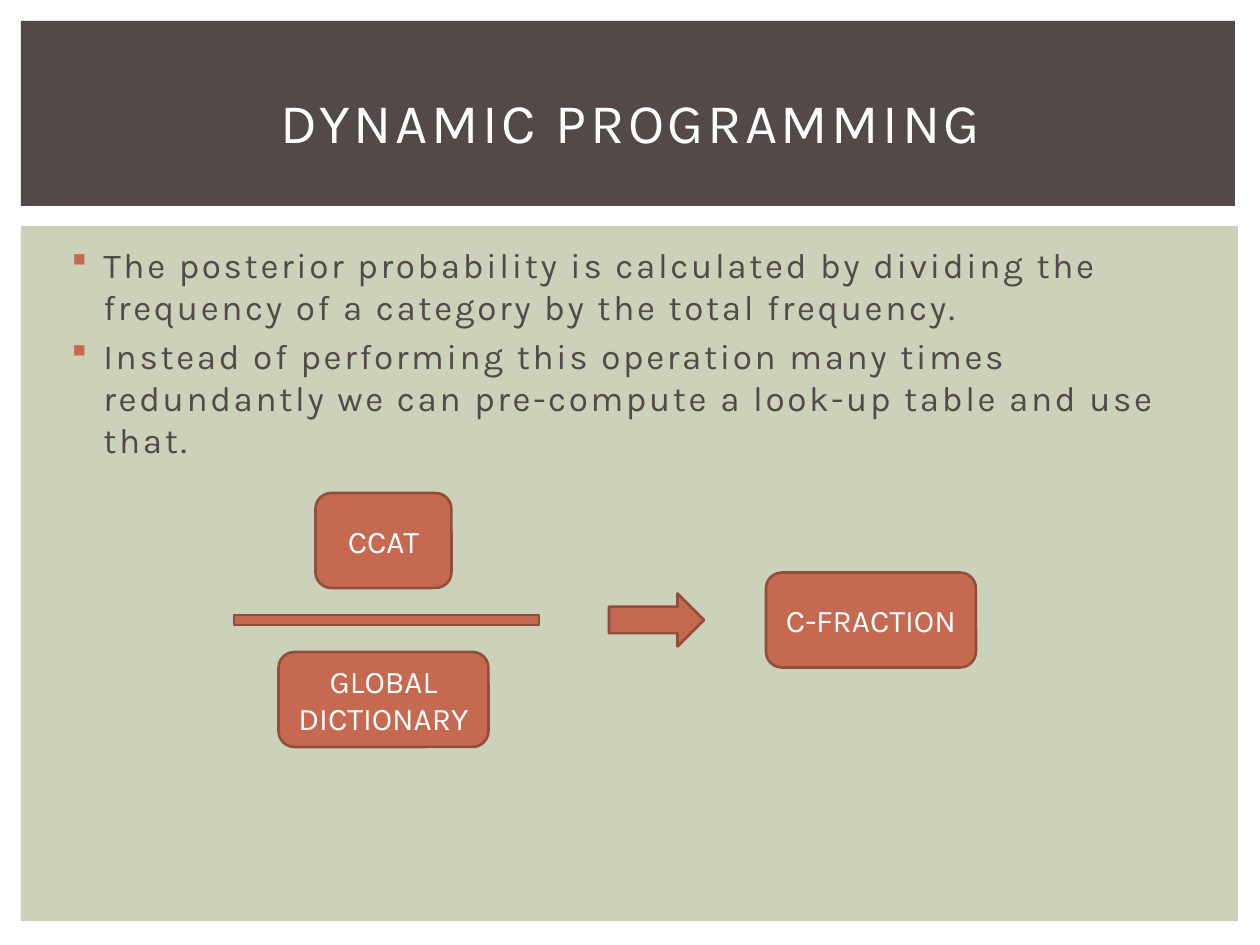
import pptx
import pptx.util
import pptx.dml.color
import pptx.enum.shapes
import pptx.enum.text
import lxml.etree
from dataclasses import dataclass

SCALE = 914400 // 126  # EMU per pixel
SHAPE = pptx.enum.shapes.MSO_SHAPE
ALIGN = pptx.enum.text.PP_ALIGN
ANCHOR = pptx.enum.text.MSO_ANCHOR


@dataclass(frozen=True)
class Theme:
    font: str = "Karla"
    dark: str = "534949"
    panel: str = "CCD1B9"
    accent: str = "C66951"
    edge: str = "924E3C"
    light: str = "FFFFFF"
    title: int = 32
    body: int = 20
    label: int = 18


T = Theme()


def px(n):
    return pptx.util.Emu(round(n * SCALE))


def rgb(color):
    return pptx.dml.color.RGBColor.from_string(color)


def add_text(tf, lines, size, color, align=ALIGN.LEFT, anchor=ANCHOR.TOP,
             spacing=0, before=0, bullet=None):
    tf.word_wrap = True
    tf.vertical_anchor = anchor
    for i, line in enumerate(lines):
        p = tf.paragraphs[0] if i == 0 else tf.add_paragraph()
        p.alignment = align
        p.space_before = pptx.util.Pt(before)
        r = p.add_run()
        r.text = line
        r.font.name = T.font
        r.font.size = pptx.util.Pt(size)
        r.font.color.rgb = rgb(color)
        if spacing:
            r.font._element.set("spc", str(round(spacing * 100)))
        if bullet:
            add_bullet(p, bullet)


def add_bullet(p, color):
    pPr = p._p.get_or_add_pPr()
    pPr.set("marL", str(px(38)))
    pPr.set("indent", str(-px(32)))
    a = "{http://schemas.openxmlformats.org/drawingml/2006/main}"
    clr = lxml.etree.SubElement(pPr, a + "buClr")
    lxml.etree.SubElement(clr, a + "srgbClr", val=color)
    lxml.etree.SubElement(pPr, a + "buFont", typeface="Wingdings")
    lxml.etree.SubElement(pPr, a + "buChar", char="\u00a7")


def add_box(s, kind, x, y, w, h, fill, line=None, text=None):
    sp = s.shapes.add_shape(kind, px(x), px(y), px(w), px(h))
    sp.shadow.inherit = False
    sp.fill.solid()
    sp.fill.fore_color.rgb = rgb(fill)
    if line:
        sp.line.color.rgb = rgb(line)
        sp.line.width = pptx.util.Pt(1.5)
    else:
        sp.line.fill.background()
    if text:
        add_text(sp.text_frame, [text], T.label, T.light,
                 ALIGN.CENTER, ANCHOR.MIDDLE)
    return sp


def add_header(s, x, y, w, h, title):
    add_box(s, SHAPE.RECTANGLE, x, y, w, h, T.dark)
    sp = s.shapes.add_textbox(px(x + 32), px(y + 28), px(w - 59), px(145))
    add_text(sp.text_frame, [title], T.title, T.light,
             ALIGN.CENTER, ANCHOR.MIDDLE, spacing=2)


def add_body(s, x, y, w, h, points):
    add_box(s, SHAPE.RECTANGLE, x, y, w, h, T.panel)
    sp = s.shapes.add_textbox(px(x + 32), px(y + 11), px(w - 59), px(h - 88))
    add_text(sp.text_frame, points, T.body, T.dark,
             spacing=1.5, before=T.body * 0.2, bullet=T.accent)


def add_fraction(s, x, y, w, h, numerator, denominator, result):
    box_w, box_h = 210, 95
    bar_w, bar_h = 305, 10
    arrow_w, arrow_h = 95, 53
    mid_x, mid_y = x + bar_w / 2, y + h / 2
    parts = [
        (SHAPE.ROUNDED_RECTANGLE, mid_x - 71, y, 136, box_h, numerator),
        (SHAPE.ROUNDED_RECTANGLE, mid_x - 108, y + h - box_h, box_w, box_h,
         denominator),
        (SHAPE.RECTANGLE, x, mid_y - bar_h / 2, bar_w, bar_h, None),
        (SHAPE.RIGHT_ARROW, x + 375, mid_y - arrow_h / 2, arrow_w, arrow_h,
         None),
        (SHAPE.ROUNDED_RECTANGLE, x + w - box_w, mid_y - box_h / 2, box_w,
         box_h, result),
    ]
    for kind, left, top, width, height, text in parts:
        add_box(s, kind, left, top, width, height, T.accent, T.edge, text)


prs = pptx.Presentation()
prs.slide_width, prs.slide_height = px(1260), px(945)
s = prs.slides.add_slide(prs.slide_layouts[6])

# Title band
add_header(s, 21, 21, 1214, 185, "DYNAMIC PROGRAMMING")

# Bulleted panel
add_body(s, 21, 226, 1217, 695, [
    "The posterior probability is calculated by dividing the frequency of "
    "a category by the total frequency.",
    "Instead of performing this operation many times redundantly we can "
    "pre-compute a look-up table and use that.",
])

# Fraction diagram
add_fraction(s, 234, 493, 742, 254,
             "CCAT", "GLOBAL DICTIONARY", "C-FRACTION")

prs.save("out.pptx")
